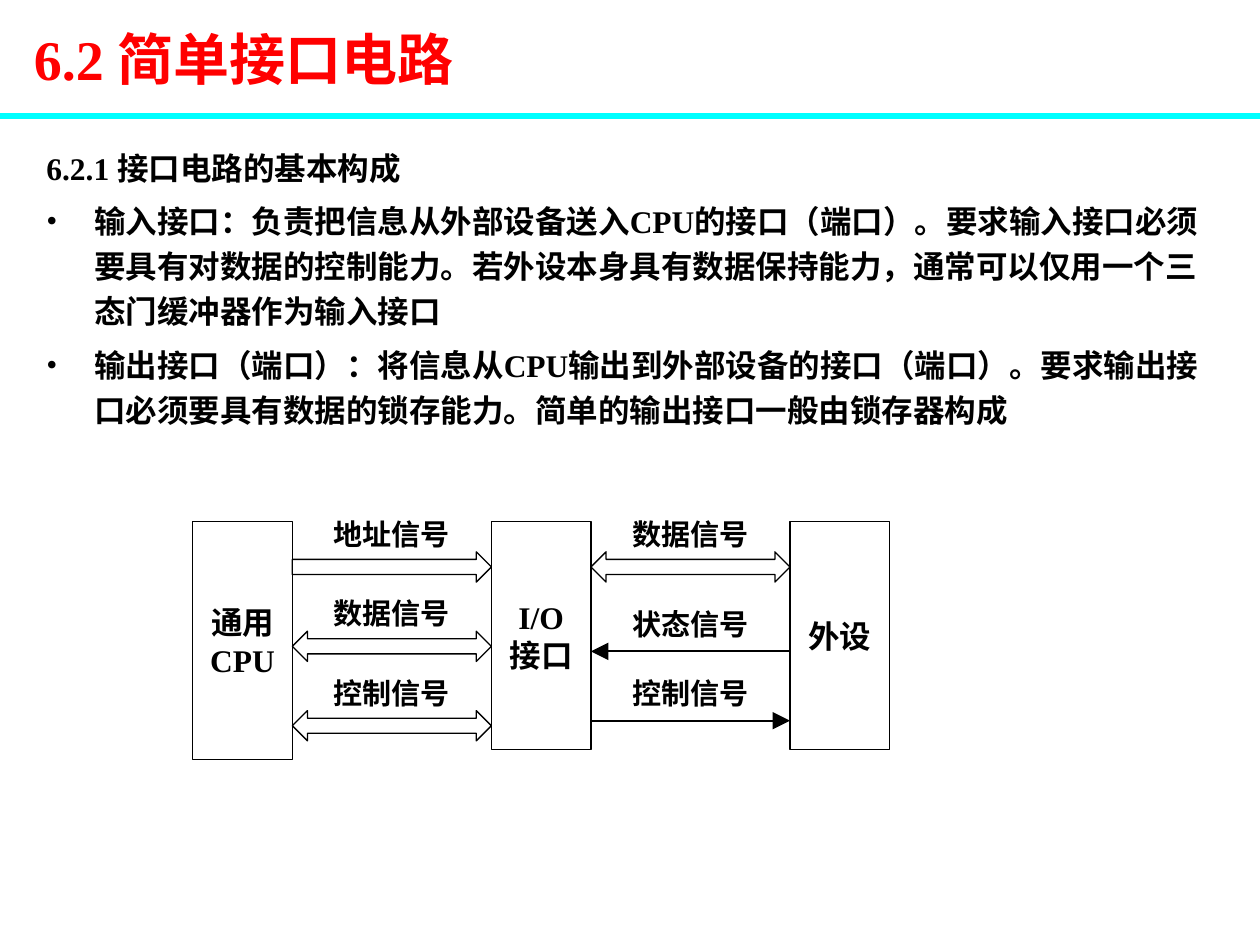
from lxml import etree
from pptx import Presentation
from pptx.dml.color import RGBColor
from pptx.enum.shapes import MSO_CONNECTOR, MSO_SHAPE
from pptx.enum.text import MSO_ANCHOR, PP_ALIGN
from pptx.oxml.ns import qn
from pptx.util import Inches, Pt

BLACK = RGBColor(0, 0, 0)
RED = RGBColor(0xFF, 0, 0)
CYAN = RGBColor(0, 0xFF, 0xFF)
FONT = "Times New Roman"


def write(tf, text, size=18, color=BLACK, align=PP_ALIGN.LEFT,
          anchor=MSO_ANCHOR.MIDDLE, spacing=None, before=0, indent=0, bullet_from=None):
    """Write one paragraph per line; lines from bullet_from on get a bullet."""
    tf.word_wrap = True
    tf.vertical_anchor = anchor
    for i, line in enumerate(text.split("\n")):
        p = tf.paragraphs[0] if i == 0 else tf.add_paragraph()
        p.alignment = align
        p.space_before = Pt(before)
        if spacing:
            p.line_spacing = spacing
        if indent:
            pPr = p._p.get_or_add_pPr()
            pPr.set("marL", str(Inches(indent)))
            pPr.set("indent", str(-Inches(indent)))
            if bullet_from is not None and i >= bullet_from:
                etree.SubElement(pPr, qn("a:buFont")).set("typeface", FONT)
                etree.SubElement(pPr, qn("a:buChar")).set("char", "•")
        r = p.add_run()
        r.text = line
        r.font.name, r.font.size, r.font.bold = FONT, Pt(size), True
        r.font.color.rgb = color


class Slide:
    outline = 0.74

    def __init__(self, prs):
        self.s = prs.slides.add_slide(prs.slide_layouts[6])

    def text(self, x, y, w, h, text, **fmt):
        box = self.s.shapes.add_textbox(Inches(x), Inches(y), Inches(w), Inches(h))
        write(box.text_frame, text, **fmt)

    def shape(self, kind, x, y, w, h, text=None):
        sp = self.s.shapes.add_shape(kind, Inches(x), Inches(y), Inches(w), Inches(h))
        sp.shadow.inherit = False
        sp.fill.background()
        sp.line.color.rgb = BLACK
        sp.line.width = Pt(self.outline)
        if text:
            write(sp.text_frame, text, align=PP_ALIGN.CENTER)

    def line(self, x1, x2, y, color=BLACK, width=1.25, arrow=False):
        c = self.s.shapes.add_connector(
            MSO_CONNECTOR.STRAIGHT, Inches(x1), Inches(y), Inches(x2), Inches(y))
        c.line.color.rgb = color
        c.line.width = Pt(width)
        if arrow:
            tail = etree.SubElement(c.line._get_or_add_ln(), qn("a:tailEnd"))
            for key, value in (("type", "triangle"), ("w", "lg"), ("len", "lg")):
                tail.set(key, value)
        etree.SubElement(c._element.spPr, qn("a:effectLst"))


prs = Presentation()
prs.slide_width, prs.slide_height = Inches(10), Inches(7.5)
slide = Slide(prs)

# Title and rule
slide.line(0, 10, 0.92, CYAN, 3)
slide.text(0.17, 0, 9.83, 0.92, "6.2 简单接口电路", size=32, color=RED)

# Body
BODY = "\n".join([
    "6.2.1 接口电路的基本构成",
    "输入接口：负责把信息从外部设备送入CPU的接口（端口）。要求输入接口必须要具有对数据的控制能力。"
    "若外设本身具有数据保持能力，通常可以仅用一个三态门缓冲器作为输入接口",
    "输出接口（端口）：将信息从CPU输出到外部设备的接口（端口）。要求输出接口必须要具有数据的锁存能力。"
    "简单的输出接口一般由锁存器构成",
])
slide.text(0.27, 1.07, 9.53, 2.52, BODY, anchor=MSO_ANCHOR.TOP,
           spacing=1.2, before=4.5, indent=0.38, bullet_from=1)

# Blocks: equal width, one gap between neighbours
LEFT, TOP, BLOCK_W, GAP = 1.53, 4.14, 0.79, 1.58
PITCH = BLOCK_W + GAP
for i, (name, height) in enumerate([("通用\nCPU", 1.89), ("I/O\n接口", 1.81), ("外设", 1.81)]):
    slide.shape(MSO_SHAPE.RECTANGLE, LEFT + i * PITCH, TOP, BLOCK_W, height, name)

# Signals: gap number, label, label top, arrow kind
LABEL_W, LABEL_H, ARROW_H = 1.42, 0.39, 0.24
BOTH, RIGHT = MSO_SHAPE.LEFT_RIGHT_ARROW, MSO_SHAPE.RIGHT_ARROW
SIGNALS = [
    (0, "地址信号", 4.06, RIGHT),
    (0, "数据信号", 4.69, BOTH),
    (0, "控制信号", 5.32, BOTH),
    (1, "数据信号", 4.06, BOTH),
    (1, "状态信号", 4.77, "to left"),
    (1, "控制信号", 5.32, "to right"),
]
for gap, label, y, kind in SIGNALS:
    x = LEFT + BLOCK_W + gap * PITCH
    slide.text(x + (GAP - LABEL_W) / 2, y, LABEL_W, LABEL_H, label,
               size=16.6, align=PP_ALIGN.CENTER, spacing=0.9)
    if kind == "to left":
        slide.line(x + GAP, x, y + 0.4, arrow=True)
    elif kind == "to right":
        slide.line(x, x + GAP, y + 0.4, arrow=True)
    else:
        slide.shape(kind, x, y + 0.32, GAP, ARROW_H)

prs.save("out.pptx")
